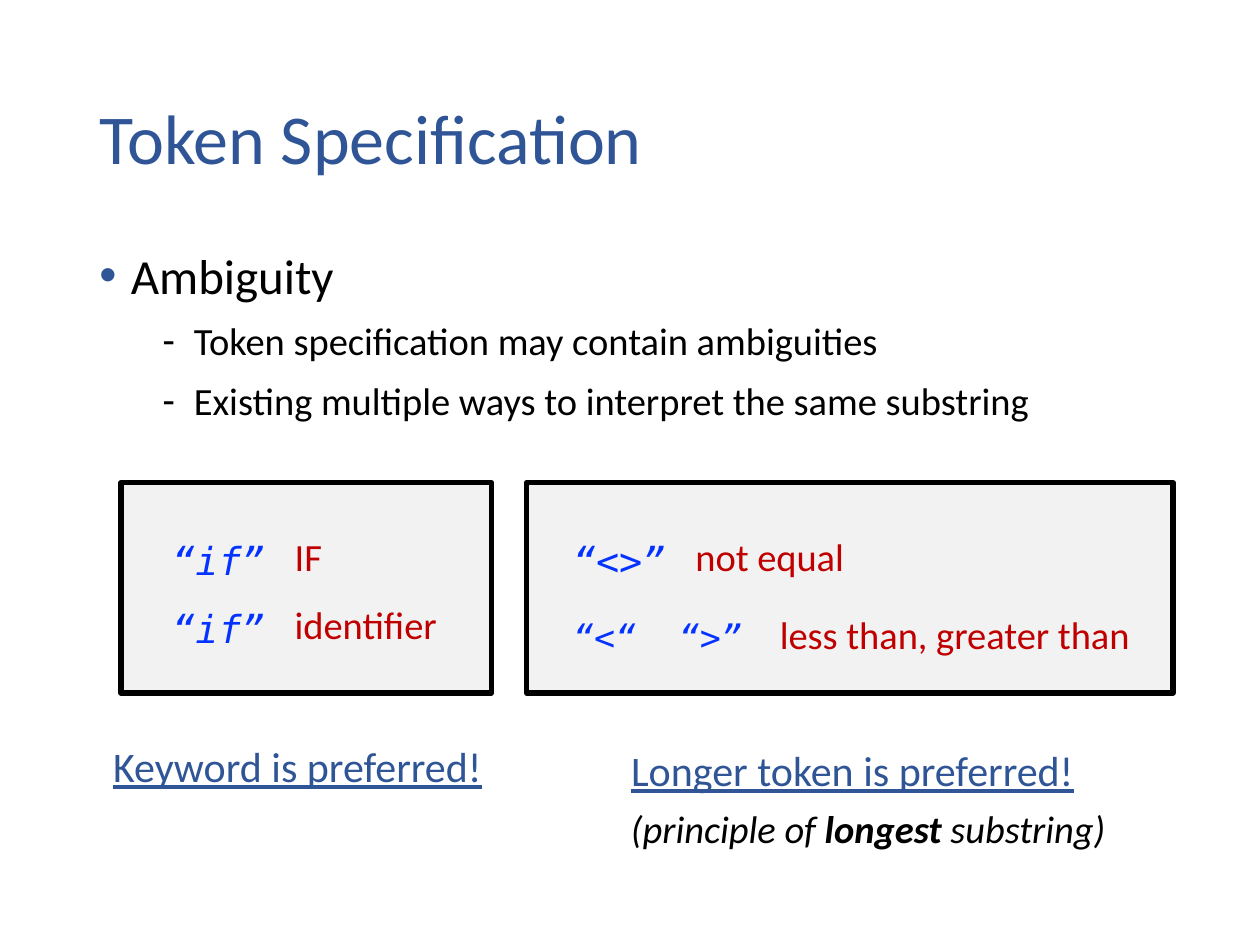
from lxml.etree import SubElement
from pptx import Presentation
from pptx.dml.color import RGBColor
from pptx.enum.shapes import MSO_SHAPE
from pptx.enum.text import MSO_ANCHOR
from pptx.oxml.ns import qn
from pptx.util import Inches, Pt

BLUE = RGBColor(0x2F, 0x55, 0x97)
CODE = RGBColor(0x04, 0x32, 0xFF)
RED = RGBColor(0xC0, 0x00, 0x00)
BLACK = RGBColor(0, 0, 0)
GREY = RGBColor(0xF2, 0xF2, 0xF2)
SANS, MONO = "Calibri", "DejaVu Sans Mono"

# Content: text, level, size, bullet, space before
TITLE = "Token Specification"
BODY = [
    ("Ambiguity", 0, 28, "•", 10),
    ("Token specification may contain ambiguities", 1, 22, "-", 5),
    ("Existing multiple ways to interpret the same substring", 1, 22, "-", 5),
]
# Frames: left, width
FRAMES = [(0.96, 2.94), (4.18, 5.13)]
# Rules: code, code size, left, top, code width, meaning, meaning width
RULES = [
    ("“if”", 22, 1.27, 4.18, 0.97, "IF", 0.42),
    ("“if”", 22, 1.27, 4.72, 0.97, "identifier", 1.35),
    ("“<>”", 22, 4.45, 4.18, 0.97, "not equal", 1.39),
    ("“<“\t“>”", 20, 4.45, 4.8, 1.64, "less than, greater than", 3.01),
]
# Verdicts: text, left, top, width
VERDICTS = [
    ("Keyword is preferred!", 0.8, 5.63, 3.37),
    ("Longer token is preferred!", 4.91, 5.66, 3.75),
]
NOTE = [("(principle of ", False), ("longest", True), (" substring)", False)]

deck = Presentation()
deck.slide_width, deck.slide_height = Inches(10), Inches(7.5)
slide = deck.slides.add_slide(deck.slide_layouts[6])


def add_box(left, top, width, height, wrap=True):
    box = slide.shapes.add_textbox(*map(Inches, (left, top, width, height)))
    box.text_frame.word_wrap = wrap
    return box.text_frame


def add_text(para, text, size=22, font=SANS, color=BLACK, gap=None,
             bold=None, italic=None, under=None):
    run = para.add_run()
    run.text = text
    face = run.font
    face.size, face.name, face.color.rgb = Pt(size), font, color
    face.bold, face.italic, face.underline = bold, italic, under
    if gap:
        para.line_spacing = gap


def add_bullet(para, char, indent, color):
    props = para._p.get_or_add_pPr()
    props.set("marL", str(Inches(indent)))
    props.set("indent", str(-Inches(0.25)))
    tint = SubElement(props, qn("a:buClr"))
    SubElement(tint, qn("a:srgbClr"), val=str(color))
    SubElement(props, qn("a:buFont"), typeface="Arial")
    SubElement(props, qn("a:buChar"), char=char)


def add_tab(para, pos):
    tabs = SubElement(para._p.get_or_add_pPr(), qn("a:tabLst"))
    SubElement(tabs, qn("a:tab"), pos=str(Inches(pos)), algn="l")


# Title
frame = add_box(0.69, 0.4, 8.62, 1.45)
frame.vertical_anchor = MSO_ANCHOR.MIDDLE
add_text(frame.paragraphs[0], TITLE, size=40, color=BLUE, gap=0.9)

# Bulleted body
frame = add_box(0.69, 1.85, 9.05, 2.2)
for i, (text, level, size, char, before) in enumerate(BODY):
    para = frame.add_paragraph() if i else frame.paragraphs[0]
    para.level, para.space_before = level, Pt(before)
    add_text(para, text, size=size, gap=1.1)
    add_bullet(para, char, 0.25 + 0.5 * level, BLACK if level else BLUE)

# Grey frames
for left, width in FRAMES:
    rect = slide.shapes.add_shape(
        MSO_SHAPE.RECTANGLE, *map(Inches, (left, 3.83, width, 1.67)))
    rect.shadow.inherit = False
    rect.fill.solid()
    rect.fill.fore_color.rgb = GREY
    rect.line.color.rgb = BLACK
    rect.line.width = Pt(3)

# Token rules, each meaning right after its code
for code, size, left, top, width, name, span in RULES:
    para = add_box(left, top, width, 0.5).paragraphs[0]
    add_text(para, code, size=size, font=MONO, color=CODE, gap=1.1, italic=True)
    if "\t" in code:
        add_tab(para, 0.84)
    para = add_box(left + width, top, span, 0.47, wrap=False).paragraphs[0]
    add_text(para, name, color=RED)

# Verdicts and note
for text, left, top, width in VERDICTS:
    para = add_box(left, top, width, 0.71).paragraphs[0]
    add_text(para, text, size=24, color=BLUE, gap=1.5, under=True)
para = add_box(4.91, 6.34, 4, 0.47, wrap=False).paragraphs[0]
for text, bold in NOTE:
    add_text(para, text, bold=bold, italic=True)

deck.save("out.pptx")
